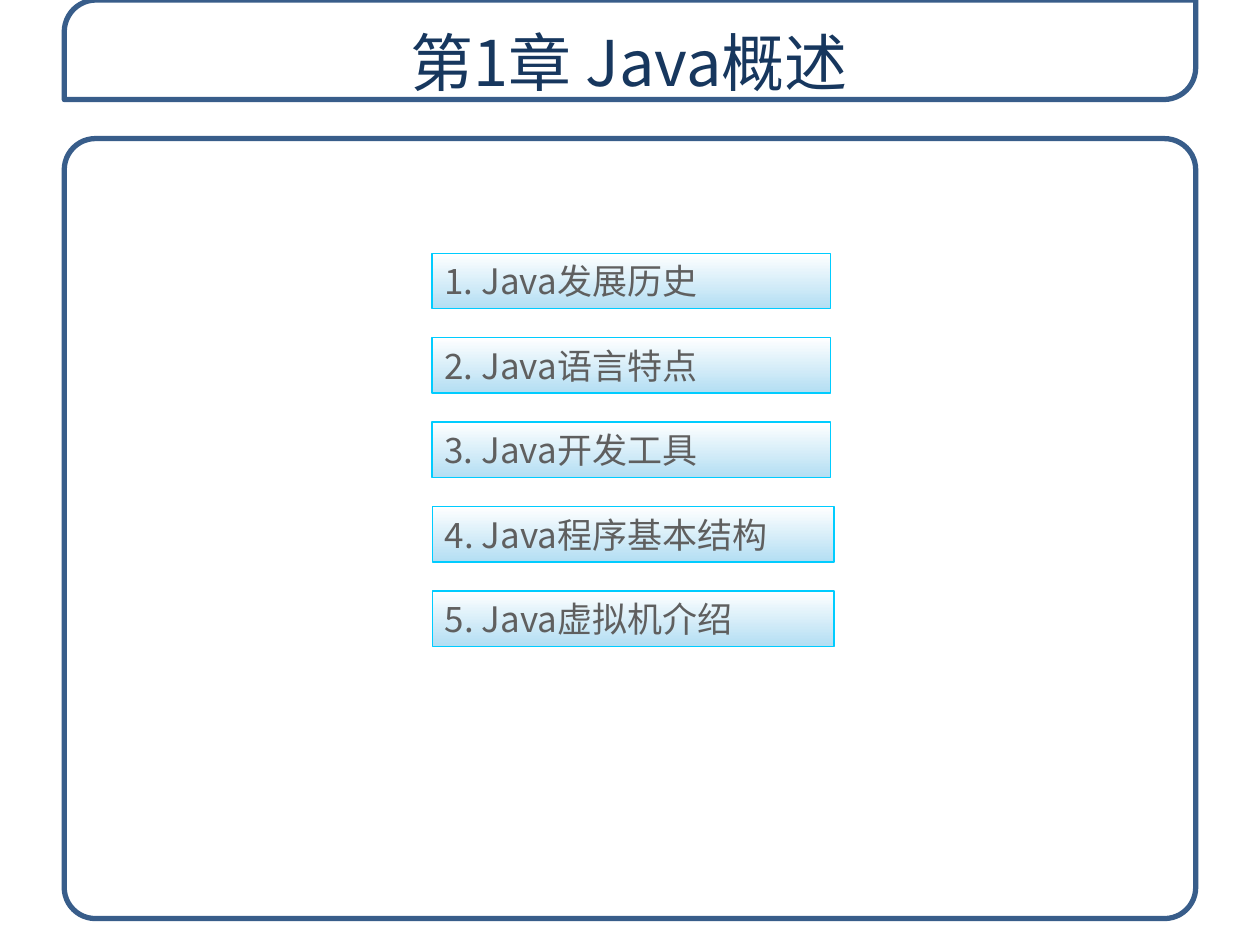
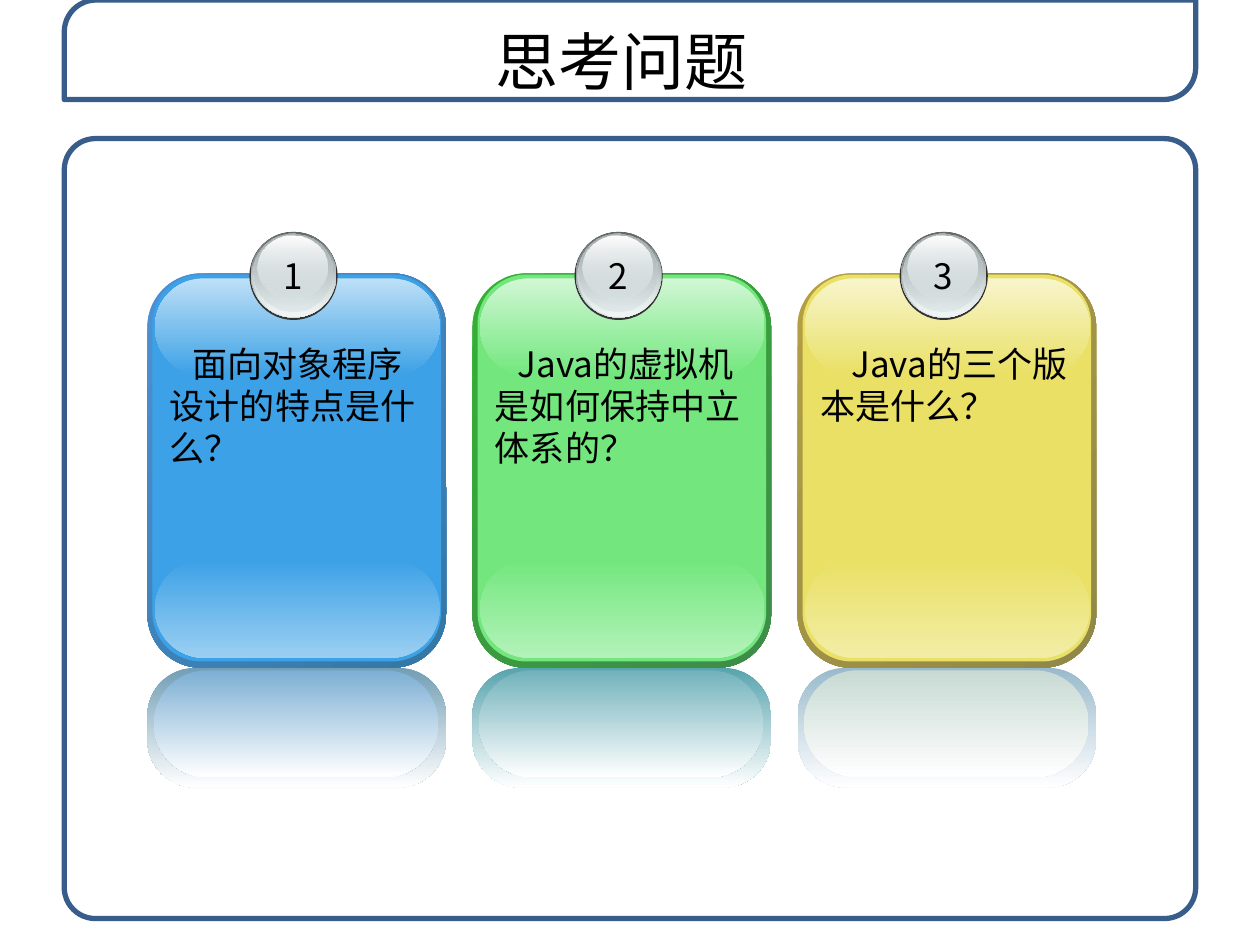
from collections import namedtuple

from lxml.etree import SubElement
from pptx import Presentation
from pptx.dml.color import RGBColor
from pptx.enum.shapes import MSO_SHAPE
from pptx.enum.text import MSO_ANCHOR, PP_ALIGN
from pptx.oxml.ns import qn
from pptx.util import Inches, Pt

FONT = "Noto Sans CJK SC"
WHITE = RGBColor(0xFF, 0xFF, 0xFF)
BLACK = RGBColor(0x00, 0x00, 0x00)
FRAME_BLUE = RGBColor(0x38, 0x5D, 0x8A)
TITLE_NAVY = RGBColor(0x17, 0x37, 0x5E)
TOPIC_GREY = RGBColor(0x5F, 0x5F, 0x5F)
TOPIC_SKY = RGBColor(0xB3, 0xDE, 0xF3)
TOPIC_EDGE = RGBColor(0x00, 0xCC, 0xFF)
BADGE_RIM = RGBColor(0x33, 0x33, 0x33)
BADGE_DARK = RGBColor(0x63, 0x68, 0x69)
BADGE_MID = RGBColor(0xAA, 0xB2, 0xB3)
BADGE_LIGHT = RGBColor(0xD6, 0xE1, 0xE2)
BADGE_PALE = RGBColor(0xF1, 0xF5, 0xF5)

Palette = namedtuple("Palette", "rim_start rim_end face top_gloss bottom_gloss mirror_rim mirror_face")
BLUE = Palette(*map(RGBColor.from_string, "4E91D4 3477A4 3CA1E6 BEE0F7 9BCFF2 729EB4 7DAFD4".split()))
GREEN = Palette(*map(RGBColor.from_string, "34B034 3F8B4A 73E77E D0F7D4 B3F2B9 58A4AE 72B2BB".split()))
YELLOW = Palette(*map(RGBColor.from_string, "B59F43 8F8849 E9E065 F8F5CC F2EDA6 99BACC C8DAD4".split()))

TOPICS = [
    ("1. Java发展历史", 3.16),
    ("2. Java语言特点", 3.16),
    ("3. Java开发工具", 3.16),
    ("4. Java程序基本结构", 3.19),
    ("5. Java虚拟机介绍", 3.19),
]
QUESTIONS = [
    ("面向对象程序设计的特点是什么？", BLUE, 0.18),
    ("Java的虚拟机是如何保持中立体系的？", GREEN, 0.18),
    ("Java的三个版本是什么？", YELLOW, 0.25),
]


def write(shape, text, size=20, color=BLACK, align=PP_ALIGN.LEFT,
          anchor=MSO_ANCHOR.TOP, wrap=True, indent=0):
    frame = shape.text_frame
    frame.word_wrap = wrap
    frame.vertical_anchor = anchor
    paragraph = frame.paragraphs[0]
    paragraph.alignment = align
    if indent:
        paragraph._p.get_or_add_pPr().set("indent", str(Inches(indent)))
    run = paragraph.add_run()
    run.text = text
    run.font.size = Pt(size)
    run.font.name = FONT
    run.font.color.rgb = color
    SubElement(run._r.get_or_add_rPr(), qn("a:ea")).set("typeface", FONT)


def add_text(slide, box, text, **text_format):
    write(slide.shapes.add_textbox(*map(Inches, box)), text, **text_format)


def add_panel(slide, kind, box, colors, line=None, line_width=1, corner=None,
              angle=90, alphas=(100, 100)):
    panel = slide.shapes.add_shape(kind, *map(Inches, box))
    panel.shadow.inherit = False
    if corner is not None:
        panel.adjustments[0] = corner
    if len(colors) == 1:
        panel.fill.solid()
        panel.fill.fore_color.rgb = colors[0]
    else:
        panel.fill.gradient()
        panel.fill.gradient_angle = 360 - angle
        for stop, color in zip(panel.fill.gradient_stops, colors):
            stop.color.rgb = color
        for tint, alpha in zip(panel._element.spPr.iter(qn("a:srgbClr")), alphas):
            if alpha < 100:
                SubElement(tint, qn("a:alpha")).set("val", str(alpha * 1000))
    if line is None:
        panel.line.fill.background()
    else:
        panel.line.color.rgb = line
        panel.line.width = Pt(line_width)
    return panel


def add_framed_slide(deck, title, title_box, title_color):
    slide = deck.slides.add_slide(deck.slide_layouts[6])
    border = dict(line=FRAME_BLUE, line_width=3)
    add_panel(slide, MSO_SHAPE.ROUNDED_RECTANGLE, (0.51, 1.1, 8.98, 6.19), [WHITE],
              corner=0.04, **border)
    add_panel(slide, MSO_SHAPE.ROUND_2_DIAG_RECTANGLE, (0.51, 0, 8.98, 0.79), [WHITE],
              corner=0.32, **border)
    add_text(slide, title_box, title, size=36, color=title_color, align=PP_ALIGN.CENTER)
    return slide


def add_topics(slide, left, top, height=0.44, pitch=0.67):
    for row, (topic, width) in enumerate(TOPICS):
        bar = add_panel(slide, MSO_SHAPE.RECTANGLE, (left, top + row * pitch, width, height),
                        [WHITE, TOPIC_SKY], line=TOPIC_EDGE, line_width=0.75)
        write(bar, topic, color=TOPIC_GREY, anchor=MSO_ANCHOR.MIDDLE)


def add_badge(slide, left, top, number):
    discs = [
        ((0, 0, 0.7, 0.7), [BADGE_RIM], (100, 100)),
        ((0.01, 0, 0.68, 0.68), [BADGE_DARK, BADGE_LIGHT], (100, 100)),
        ((0.02, 0.01, 0.66, 0.66), [BADGE_LIGHT, BADGE_PALE], (0, 100)),
        ((0.03, 0.01, 0.63, 0.62), [BADGE_MID, BADGE_LIGHT], (100, 48)),
        ((0.06, 0.03, 0.56, 0.5), [WHITE, BADGE_LIGHT], (100, 38)),
    ]
    for (dx, dy, width, height), colors, alphas in discs:
        add_panel(slide, MSO_SHAPE.OVAL, (left + dx, top + dy, width, height), colors,
                  alphas=alphas)
    add_text(slide, (left + 0.16, top + 0.13, 0.37, 0.44), str(number),
             align=PP_ALIGN.CENTER, wrap=False)


def add_question_card(slide, left, top, number, question, palette, indent):
    layers = [
        ((0, 0, 2.37, 3.13), [palette.rim_start, palette.rim_end], 0.18, 45),
        ((0.04, 0.01, 2.29, 3.07), [palette.face], 0.17, 90),
        ((0.06, 2.27, 2.26, 0.78), [palette.face, palette.bottom_gloss], 0.5, 90),
        ((0.06, 0.04, 2.26, 0.77), [palette.top_gloss, palette.face], 0.5, 90),
        ((0, 3.13, 2.37, 0.95), [palette.mirror_rim, WHITE], 0.4, 90),
        ((0.05, 3.15, 2.26, 0.85), [palette.mirror_face, WHITE], 0.5, 90),
    ]
    for (dx, dy, width, height), colors, corner, angle in layers:
        add_panel(slide, MSO_SHAPE.ROUNDED_RECTANGLE, (left + dx, top + dy, width, height),
                  colors, corner=corner, angle=angle)
    add_badge(slide, left + 0.81, top - 0.33, number)
    add_text(slide, (left + 0.08, top + 0.5, 2.25, 1.1), question, indent=indent)


def add_questions(slide, left, top, pitch=2.58):
    for column, (question, palette, indent) in enumerate(QUESTIONS):
        add_question_card(slide, left + column * pitch, top, column + 1,
                          question, palette, indent)


def main():
    deck = Presentation()
    deck.slide_width = Inches(10)
    deck.slide_height = Inches(7.5)
    chapter = add_framed_slide(deck, "第1章 Java概述", (0.51, 0.14, 8.97, 0.76), TITLE_NAVY)
    add_topics(chapter, 3.43, 2.01)
    review = add_framed_slide(deck, "思考问题", (0.43, 0.13, 9, 0.57), BLACK)
    add_questions(review, 1.17, 2.17)
    deck.save("out.pptx")


if __name__ == "__main__":
    main()
